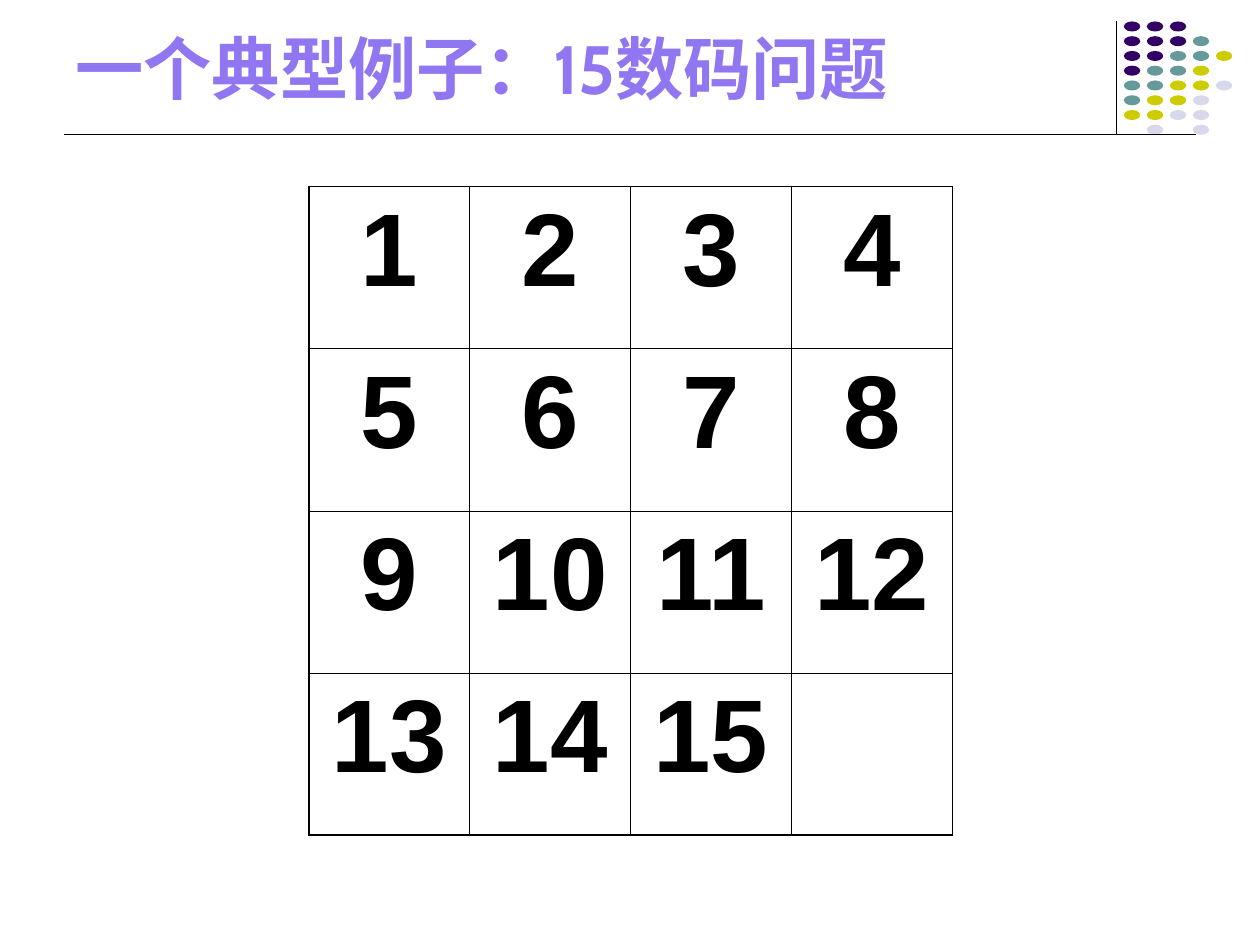
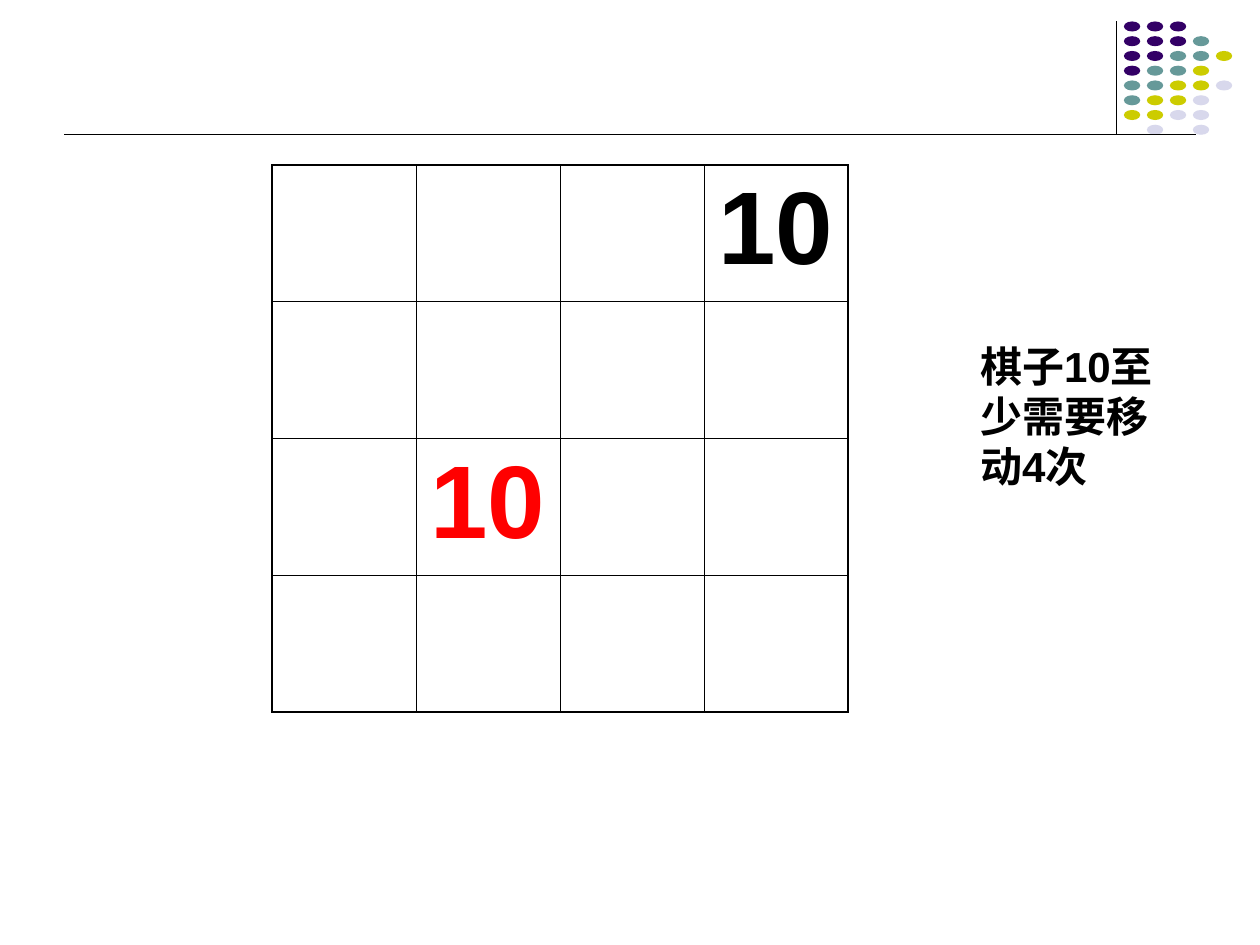
import pptx
import pptx.dml.color
import pptx.enum.shapes
import pptx.enum.text
import pptx.oxml
import pptx.oxml.ns
import pptx.util
from pptx.util import Inches

BLACK = "000000"
RED = "FF0000"
TITLE_COLOUR = "9076F0"
DOT_COLOURS = {"P": "330066", "T": "669999", "Y": "CCCC00", "L": "D8D8EC"}
DOT_ROWS = ["PPP", "PPPT", "PPTTY", "PTTY", "TTYYL", "TYYL", "YYLL", " L L"]
GRID_SIZE = 4
OUTER_BORDER = 1.08
INNER_BORDER = 0.45


def colour(hex_value):
    return pptx.dml.color.RGBColor.from_string(hex_value)


def add_span(para, text, size, font="Arial", hex_value=BLACK):
    span = para.add_run()
    span.text = text
    span.font.size = pptx.util.Pt(size)
    span.font.name = font
    span.font.bold = True
    span.font.color.rgb = colour(hex_value)


def add_text(page, text, left, top, width, height, size, font="Arial",
             hex_value=BLACK, anchor=pptx.enum.text.MSO_ANCHOR.TOP, space_before=0):
    box = page.shapes.add_textbox(Inches(left), Inches(top), Inches(width), Inches(height))
    box.text_frame.word_wrap = True
    box.text_frame.vertical_anchor = anchor
    para = box.text_frame.paragraphs[0]
    para.space_before = pptx.util.Pt(space_before)
    add_span(para, text, size, font, hex_value)


def add_rule(page, left, top, right, bottom):
    rule = page.shapes.add_connector(
        pptx.enum.shapes.MSO_CONNECTOR.STRAIGHT,
        Inches(left), Inches(top), Inches(right), Inches(bottom))
    rule.line.color.rgb = colour(BLACK)
    rule.line.width = pptx.util.Pt(0.75)
    pptx.oxml.ns.qn("a:effectLst")
    rule.element.spPr.append(pptx.oxml.parse_xml(
        f'<a:effectLst {pptx.oxml.ns.nsdecls("a")}/>'))


def add_dot(page, left, top, hex_value):
    dot = page.shapes.add_shape(
        pptx.enum.shapes.MSO_SHAPE.OVAL,
        Inches(left), Inches(top), Inches(0.13), Inches(0.08))
    dot.shadow.inherit = False
    dot.fill.solid()
    dot.fill.fore_color.rgb = colour(hex_value)
    dot.line.fill.background()


def add_page(deck):
    page = deck.slides.add_slide(deck.slide_layouts[6])
    page.background.fill.solid()
    page.background.fill.fore_color.rgb = colour("FFFFFF")
    add_rule(page, 8.86, 0.17, 8.86, 1.07)
    for row, pattern in enumerate(DOT_ROWS):
        for column, key in enumerate(pattern):
            if key in DOT_COLOURS:
                add_dot(page, 8.92 + column * 0.73 / 4, 0.17 + row * 0.82 / 7, DOT_COLOURS[key])
    add_rule(page, 0.51, 1.07, 9.49, 1.07)
    return page


def set_borders(cell, row, column):
    last = GRID_SIZE - 1
    on_edge = {"L": column == 0, "R": column == last, "T": row == 0, "B": row == last}
    for position, (side, outer) in enumerate(on_edge.items()):
        width = pptx.util.Pt(OUTER_BORDER if outer else INNER_BORDER)
        border = pptx.oxml.parse_xml(
            f'<a:ln{side} {pptx.oxml.ns.nsdecls("a")} w="{int(width)}"><a:solidFill>'
            f'<a:srgbClr val="{BLACK}"/></a:solidFill></a:ln{side}>')
        cell._tc.get_or_add_tcPr().insert(position, border)


def add_board(page, left, top, width, height, tiles):
    table = page.shapes.add_table(
        GRID_SIZE, GRID_SIZE, Inches(left), Inches(top), Inches(width), Inches(height)).table
    table.first_row = False
    table.horz_banding = False
    for row in range(GRID_SIZE):
        for column in range(GRID_SIZE):
            cell = table.cell(row, column)
            cell.fill.background()
            set_borders(cell, row, column)
            if (row, column) in tiles:
                number, hex_value = tiles[row, column]
                para = cell.text_frame.paragraphs[0]
                para.alignment = pptx.enum.text.PP_ALIGN.CENTER
                para.space_before = pptx.util.Pt(14.7)
                add_span(para, str(number), 59, hex_value=hex_value)


def main():
    deck = pptx.Presentation()
    deck.slide_width = Inches(10)
    deck.slide_height = Inches(7.5)

    goal_page = add_page(deck)
    add_text(goal_page, "一个典型例子：15数码问题", 0.5, 0.13, 8.12, 0.78, 39,
             "Cabin", TITLE_COLOUR, pptx.enum.text.MSO_ANCHOR.BOTTOM)
    goal_tiles = {divmod(index, GRID_SIZE): (index + 1, BLACK) for index in range(15)}
    add_board(goal_page, 2.45, 1.48, 5.11, 5.15, goal_tiles)

    distance_page = add_page(deck)
    add_board(distance_page, 2.16, 1.31, 4.57, 4.34, {(0, 3): (10, BLACK), (2, 1): (10, RED)})
    add_text(distance_page, "棋子10至少需要移动4次", 7.68, 2.65, 1.81, 1.3, 24, space_before=15)

    deck.save("out.pptx")


if __name__ == "__main__":
    main()
